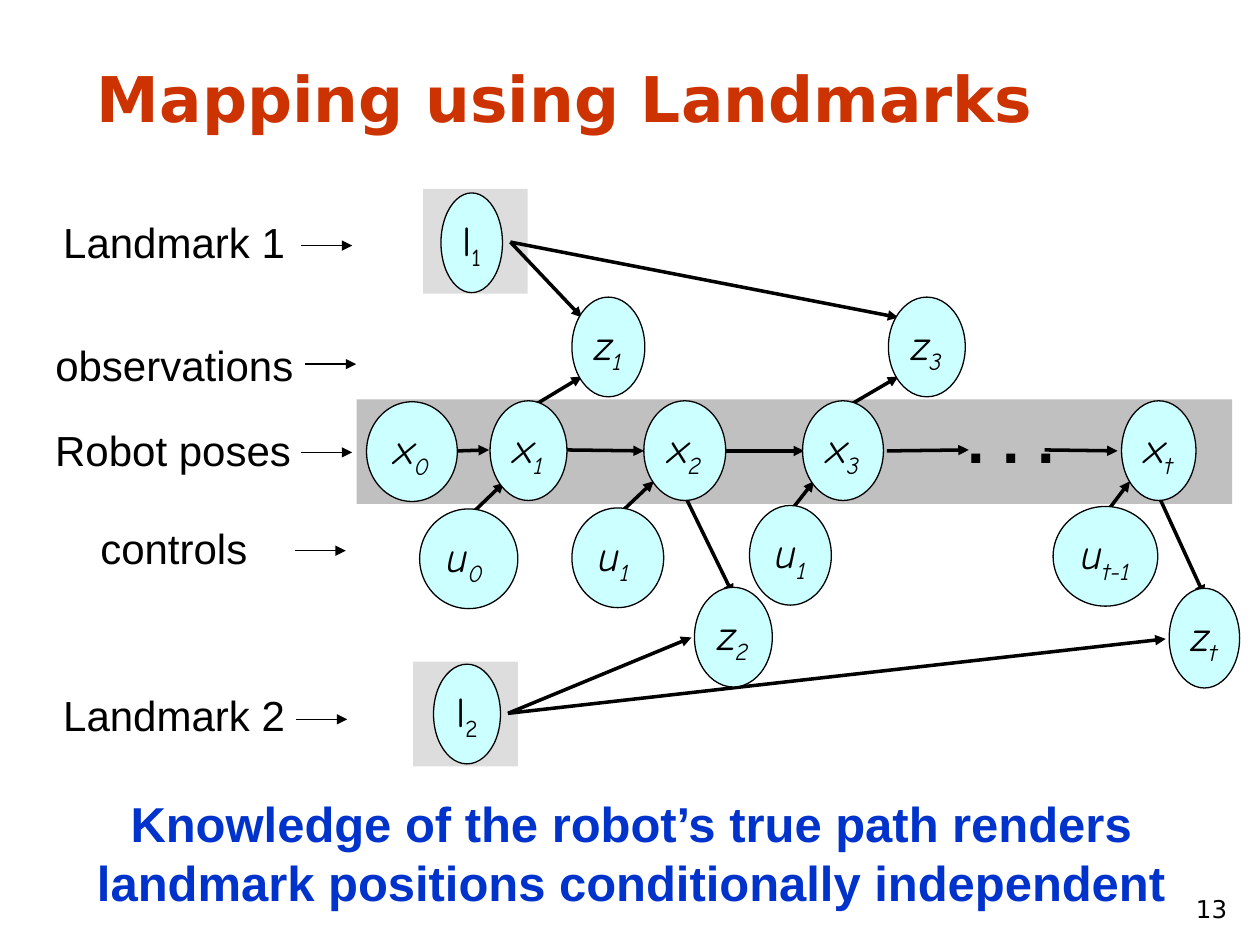
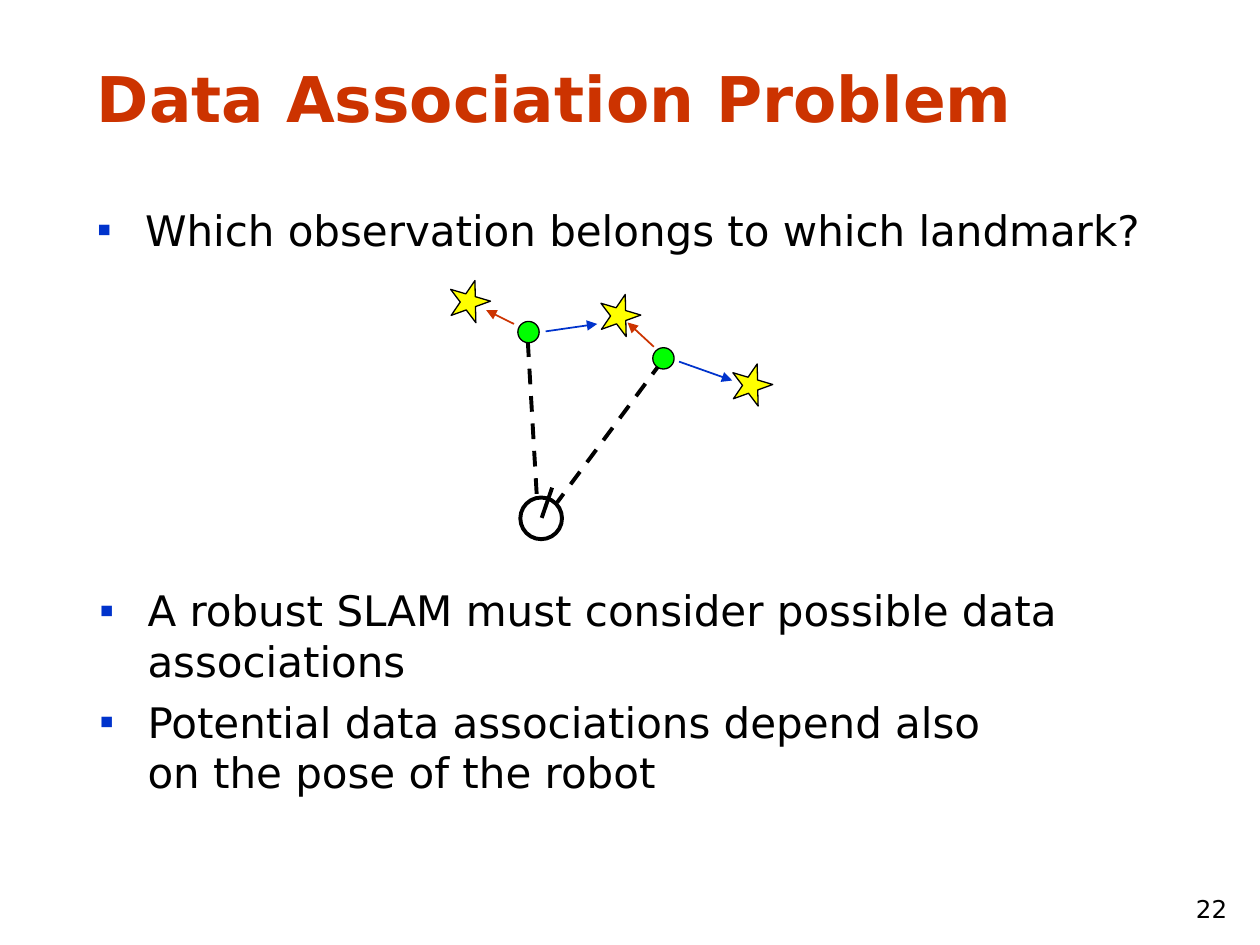
from dataclasses import dataclass

from lxml.etree import SubElement as Sub
from pptx import Presentation
from pptx.dml.color import RGBColor
from pptx.enum.dml import MSO_LINE as Dash
from pptx.enum.shapes import MSO_CONNECTOR as Link, MSO_SHAPE as Kind
from pptx.enum.text import MSO_ANCHOR as Anchor, MSO_AUTO_SIZE as Fit, PP_ALIGN as Align
from pptx.oxml.ns import qn
from pptx.util import Cm, Pt

# Colours
BLACK = RGBColor(0x00, 0x00, 0x00)
WHITE = RGBColor(0xFF, 0xFF, 0xFF)
RED = RGBColor(0xCC, 0x33, 0x00)
BLUE = RGBColor(0x00, 0x33, 0xCC)
CYAN = RGBColor(0xCC, 0xFF, 0xFF)
PALE = RGBColor(0xDD, 0xDD, 0xDD)
GREY = RGBColor(0xC0, 0xC0, 0xC0)
YELLOW = RGBColor(0xFF, 0xFF, 0x00)
GREEN = RGBColor(0x00, 0xFF, 0x00)

# Font formats
SANS, PLAIN, HAND = "DejaVu Sans", "Arial", "Comic Neue"
HEAD = dict(name=SANS, size=Pt(36), bold=True)
LIST = dict(name=SANS, size=Pt(24), bold=False)
PAGE = dict(name=SANS, size=Pt(14))
LABEL = dict(name=PLAIN, size=Pt(24))
CLAIM = dict(name=PLAIN, size=Pt(28), bold=True)
DOTS = dict(name=PLAIN, size=Pt(36), bold=True)
MATH = dict(name=HAND, size=Pt(24))

# Frame formats
TOP = dict(word_wrap=True, auto_size=Fit.NONE, vertical_anchor=Anchor.TOP)
LOW = TOP | dict(vertical_anchor=Anchor.BOTTOM)
LOOSE = TOP | dict(word_wrap=False)
MID = LOOSE | dict(vertical_anchor=Anchor.MIDDLE)

NODE_H = 2.01
SIDE = 2.11
TILT = 16.5


@dataclass
class Box:
    x: float
    y: float
    w: float
    h: float

    def size(self) -> list:
        return [Cm(v) for v in (self.x, self.y, self.w, self.h)]


@dataclass
class Node:
    name: str
    sub: str
    x: float
    y: float
    w: float


@dataclass
class Tag:
    text: str
    x: float
    y: float
    w: float
    tip_x: float
    tip_y: float


@dataclass
class Line:
    x1: float
    y1: float
    x2: float
    y2: float


# Shared drawing
def dress(item, form: dict) -> None:
    for key, val in form.items():
        setattr(item, key, val)


def ink(run, form: dict, color: RGBColor = BLACK) -> None:
    dress(run.font, form)
    run.font.color.rgb = color


def write(frame, text: str, form: dict, color: RGBColor, align: Align) -> None:
    par = frame.paragraphs[0]
    par.text = text
    par.alignment = align
    for run in par.runs:
        ink(run, form, color)


def add_text(slide, text: str, box: Box, form: dict, color: RGBColor = BLACK,
             align: Align = Align.CENTER, frame: dict = LOOSE) -> None:
    shape = slide.shapes.add_textbox(*box.size())
    dress(shape.text_frame, frame)
    write(shape.text_frame, text, form, color, align)


def add_form(slide, kind: Kind, box: Box, fill: RGBColor, width: float = 0, turn: float = 0):
    shape = slide.shapes.add_shape(kind, *box.size())
    shape.shadow.inherit = False
    shape.rotation = turn
    shape.fill.solid()
    shape.fill.fore_color.rgb = fill
    if width:
        shape.line.color.rgb = BLACK
        shape.line.width = Pt(width)
    else:
        shape.line.fill.background()
    return shape


def add_line(slide, line: Line, width: float, color: RGBColor = BLACK,
             arrow: bool = True, dash: bool = False) -> None:
    ends = [Cm(v) for v in (line.x1, line.y1, line.x2, line.y2)]
    link = slide.shapes.add_connector(Link.STRAIGHT, *ends)
    link.line.color.rgb = color
    link.line.width = Pt(width)
    if dash:
        link.line.dash_style = Dash.DASH
    if arrow:
        Sub(link.line._get_or_add_ln(), qn("a:tailEnd"), type="triangle")
    Sub(link._element.spPr, qn("a:effectLst"))


def place(shape, box: Box) -> None:
    dress(shape, dict(zip(("left", "top", "width", "height"), box.size())))


def add_list(shape, items: list[str], box: Box) -> None:
    place(shape, box)
    frame = shape.text_frame
    dress(frame, TOP)
    for num, item in enumerate(items):
        par = frame.add_paragraph() if num else frame.paragraphs[0]
        par.text = item
        prop = par._p.get_or_add_pPr()
        prop.set("marL", str(Cm(0.97)))
        prop.set("indent", str(-Cm(0.97)))
        Sub(Sub(prop, qn("a:buClr")), qn("a:srgbClr"), val=str(BLUE))
        Sub(prop, qn("a:buFont"), typeface=PLAIN)
        Sub(prop, qn("a:buChar"), char="▪")
        par.space_before = Pt(6 if num else 0)
        for run in par.runs:
            ink(run, LIST)


def add_slide(deck, layout: int, title: str, page: int):
    slide = deck.slides.add_slide(deck.slide_layouts[layout])
    head = slide.shapes.title
    place(head, Box(1.7, 1.07, 23.39, 1.78))
    dress(head.text_frame, LOW)
    write(head.text_frame, title, HEAD, RED, Align.LEFT)
    add_text(slide, str(page), Box(23.29, 17.48, 1.7, 1.27), PAGE, align=Align.RIGHT, frame=LOW)
    return slide


def add_node(slide, node: Node) -> None:
    shape = add_form(slide, Kind.OVAL, Box(node.x, node.y, node.w, NODE_H), CYAN, 0.75)
    dress(shape.text_frame, MID)
    par = shape.text_frame.paragraphs[0]
    par.alignment = Align.CENTER
    form = MATH | dict(italic=node.name != "l")
    for text, base in ((node.name, 0), (node.sub, -25000)):
        run = par.add_run()
        run.text = text
        ink(run, form)
        if base:
            run._r.get_or_add_rPr().set("baseline", str(base))


# Landmark network
NODES = [
    Node("x", "0", 7.39, 8.1, 1.83),
    Node("x", "1", 9.88, 8.08, 1.55),
    Node("x", "2", 12.98, 8.08, 1.65),
    Node("x", "3", 16.18, 8.08, 1.63),
    Node("x", "t", 22.61, 8.08, 1.5),
    Node("u", "0 ", 8.46, 10.26, 1.98),
    Node("u", "1 ", 11.53, 10.24, 1.85),
    Node("u", "1", 15.11, 10.19, 1.65),
    Node("u", "t-1", 21.23, 10.21, 2.11),
    Node("l", "1", 8.89, 3.89, 1.24),
    Node("l", "2", 8.74, 13.39, 1.35),
    Node("z", "1", 11.53, 5.99, 1.47),
    Node("z", "3", 17.91, 5.99, 1.55),
    Node("z", "2", 14, 11.84, 1.57),
    Node("z", "t", 23.57, 11.86, 1.42),
]
EDGES = [
    # pose to pose
    Line(9.22, 9.09, 9.86, 9.07),
    Line(11.4, 9.07, 12.98, 9.09),
    Line(14.61, 9.09, 16.21, 9.09),
    Line(17.88, 9.09, 19.53, 9.07),
    Line(21.06, 9.07, 22.53, 9.09),
    # control to pose
    Line(9.45, 10.41, 10.16, 9.73),
    Line(12.45, 10.39, 13.18, 9.7),
    Line(15.93, 10.31, 16.41, 9.7),
    Line(22.28, 10.36, 22.78, 9.7),
    # pose to observation
    Line(10.67, 8.23, 11.73, 7.59),
    Line(17.02, 8.23, 18.11, 7.59),
    Line(13.79, 9.96, 14.78, 11.99),
    Line(23.34, 9.96, 24.28, 12.01),
    # landmark to observation
    Line(10.29, 4.88, 11.73, 6.4),
    Line(10.29, 4.88, 18.11, 6.4),
    Line(10.24, 14.38, 13.94, 12.85),
    Line(10.24, 14.38, 23.5, 12.88),
]
TAGS = [
    Tag("Landmark 1", 1.02, 4.24, 4.98, 6.07, 4.95),
    Tag("observations", 0.86, 6.71, 5.31, 6.15, 7.34),
    Tag("Robot poses", 0.86, 8.43, 5.26, 6.07, 9.12),
    Tag("controls", 1.78, 10.41, 3.45, 5.94, 11.1),
    Tag("Landmark 2", 1.02, 13.77, 4.98, 5.97, 14.5),
]


def draw_map(deck) -> None:
    slide = add_slide(deck, 5, "Mapping using Landmarks", 13)
    for x, y in ((8.53, 3.81), (8.33, 13.34)):
        add_form(slide, Kind.RECTANGLE, Box(x, y, SIDE, SIDE), PALE)
    add_text(slide, "Knowledge of the robot’s true path renders landmark positions "
             "conditionally independent", Box(0.56, 15.88, 24.33, 2.64), CLAIM, BLUE, frame=TOP)
    add_form(slide, Kind.RECTANGLE, Box(7.19, 8.05, 17.65, SIDE), GREY)
    for edge in EDGES:
        add_line(slide, edge, 2)
    add_text(slide, ". . .", Box(19.25, 7.95, 2.26, 1.78), DOTS, align=Align.LEFT)
    for tag in TAGS:
        add_text(slide, tag.text, Box(tag.x, tag.y, tag.w, 1.27), LABEL)
        add_line(slide, Line(tag.tip_x, tag.tip_y, tag.tip_x + 1.03, tag.tip_y), 0.75)
    for node in NODES:
        add_node(slide, node)


# Data association
STARS = [(9.04, 5.64), (12.07, 5.92), (14.73, 7.32)]
SIGHTS = [Line(10.64, 6.88, 10.82, 9.98), Line(13.34, 7.29, 11.23, 10.13)]
POINTS = [(10.44, 6.48), (13.16, 7.01)]
MATCHES = {
    RED: [Line(10.36, 6.53, 9.8, 6.25), Line(13.18, 6.99, 12.65, 6.5)],
    BLUE: [Line(11, 6.68, 12.04, 6.53), Line(13.69, 7.29, 14.76, 7.67)],
}


def draw_match(deck) -> None:
    slide = add_slide(deck, 3, "Data Association Problem", 22)
    hold = slide.placeholders
    add_list(hold[1], ["Which observation belongs to which landmark?"],
             Box(1.7, 3.99, 21.59, 2.54))
    add_list(hold[2], ["A robust SLAM must consider possible data associations",
                       "Potential data associations depend also \non the pose of the robot"],
             Box(1.75, 11.66, 21.59, 6.1))
    for x, y in STARS:
        add_form(slide, Kind.STAR_5_POINT, Box(x, y, 0.84, 0.81), YELLOW, 0.75, TILT)
    # Robot with its heading and lines of sight
    add_form(slide, Kind.OVAL, Box(10.49, 10.03, 0.84, 0.84), WHITE, 2.25)
    add_line(slide, Line(10.92, 10.44, 11.13, 9.83), 2.25, arrow=False)
    for sight in SIGHTS:
        add_line(slide, sight, 2.25, arrow=False, dash=True)
    for x, y in POINTS:
        add_form(slide, Kind.OVAL, Box(x, y, 0.43, 0.43), GREEN, 0.75)
    for color, lines in MATCHES.items():
        for line in lines:
            add_line(slide, line, 1, color)


def main() -> None:
    deck = Presentation()
    deck.slide_width, deck.slide_height = Cm(25.4), Cm(19.05)
    draw_map(deck)
    draw_match(deck)
    deck.save("out.pptx")


if __name__ == "__main__":
    main()
